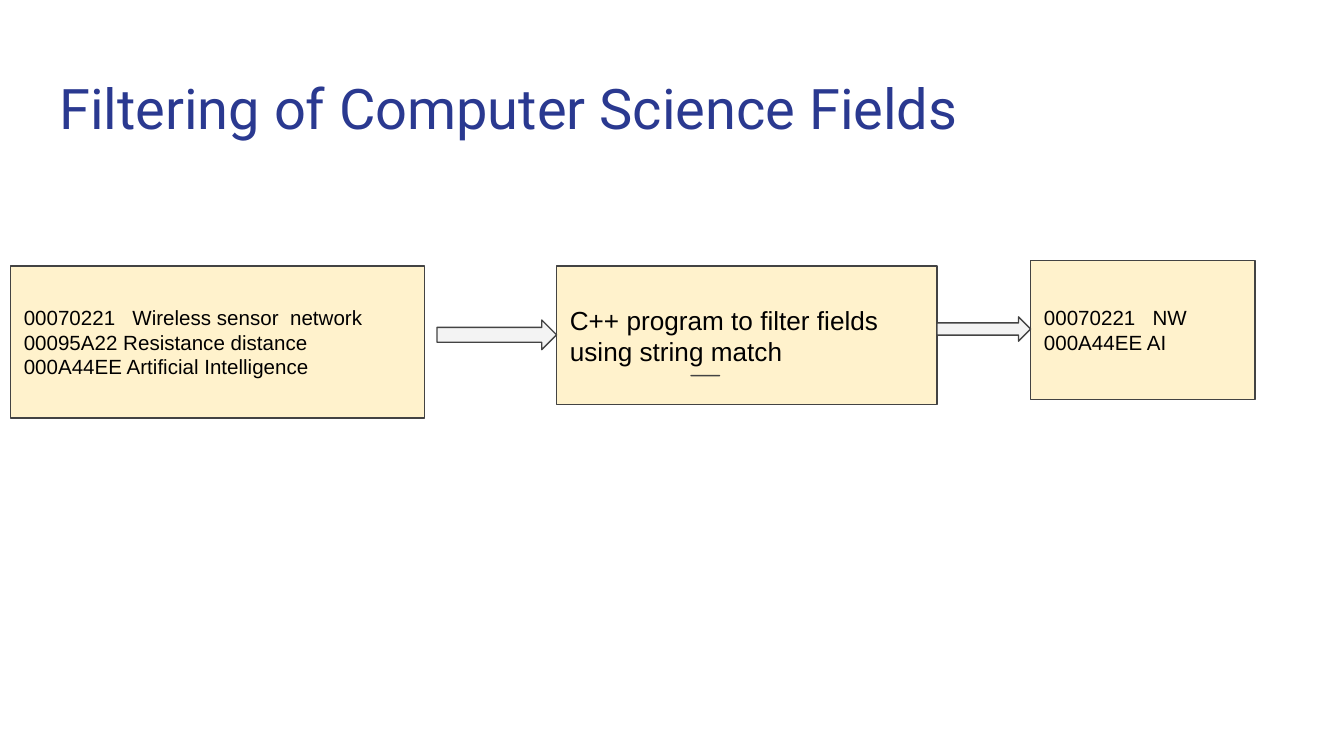
from pptx import Presentation
from pptx.dml.color import RGBColor
from pptx.enum.shapes import MSO_SHAPE
from pptx.enum.text import MSO_ANCHOR, PP_ALIGN
from pptx.util import Cm, Pt

RECTANGLE = MSO_SHAPE.RECTANGLE
RIGHT_ARROW = MSO_SHAPE.RIGHT_ARROW
DOWN_ARROW = MSO_SHAPE.DOWN_ARROW
TOP, MIDDLE = MSO_ANCHOR.TOP, MSO_ANCHOR.MIDDLE
LEFT = PP_ALIGN.LEFT

# Content: boxes are (left, top, width, height) in cm, font size, lines
TITLE = "Filtering of Computer Science Fields"
INPUT = (0.2, 5.03, 7.82, 2.87)
PROGRAM = (10.52, 5.03, 7.19, 2.62)
OUTPUT = (19.48, 4.93, 4.24, 2.62)
STEPS = [
    (INPUT, 11, ["00070221   Wireless sensor  network",
                 "00095A22 Resistance distance",
                 "000A44EE Artificial Intelligence"]),
    (PROGRAM, 14, ["C++ program to filter fields using string match"]),
    (OUTPUT, 11, ["00070221   NW", "000A44EE AI"]),
]

# Arrows: preset, (left, top, width, height); each right arrow ends at a box
INPUT_GAP = 0.24
program_right = PROGRAM[0] + PROGRAM[2]
arrow_left = INPUT[0] + INPUT[2] + INPUT_GAP
ARROWS = [
    (RIGHT_ARROW, (arrow_left, 6.05, PROGRAM[0] - arrow_left, 0.56)),
    (DOWN_ARROW, (13.06, 7.1, 0.54, 0)),  # flattened to a short rule
    (RIGHT_ARROW, (program_right, 5.99, OUTPUT[0] - program_right, 0.46)),
]


def color(value):
    return RGBColor.from_string(value)


def add_text(shape, lines, font, size, text_color, anchor):
    frame = shape.text_frame
    frame.word_wrap = True
    frame.vertical_anchor = anchor
    frame.margin_left = frame.margin_right = Cm(0.25)
    frame.margin_top = frame.margin_bottom = Cm(0.25)
    for index, line in enumerate(lines):
        paragraph = frame.add_paragraph() if index else frame.paragraphs[0]
        paragraph.alignment = LEFT
        run = paragraph.add_run()
        run.text = line
        run.font.name = font
        run.font.size = Pt(size)
        run.font.color.rgb = color(text_color)


def add_block(slide, preset, bounds, fill):
    shape = slide.shapes.add_shape(preset, *map(Cm, bounds))
    shape.shadow.inherit = False
    shape.fill.solid()
    shape.fill.fore_color.rgb = color(fill)
    shape.line.color.rgb = color("434343")
    shape.line.width = Pt(0.75)
    return shape


presentation = Presentation()
presentation.slide_width = Cm(25.4)
presentation.slide_height = Cm(14.29)
slide = presentation.slides.add_slide(presentation.slide_layouts[6])

# Title
title = slide.shapes.add_textbox(Cm(0.87), Cm(1.14), Cm(23.67), Cm(1.68))
add_text(title, [TITLE], "Roboto", 30, "2A3990", TOP)

# Steps
for bounds, size, lines in STEPS:
    box = add_block(slide, RECTANGLE, bounds, "FFF2CC")
    add_text(box, lines, "Arial", size, "000000", MIDDLE)

# Arrows
for preset, bounds in ARROWS:
    add_block(slide, preset, bounds, "F3F3F3")

presentation.save("out.pptx")
